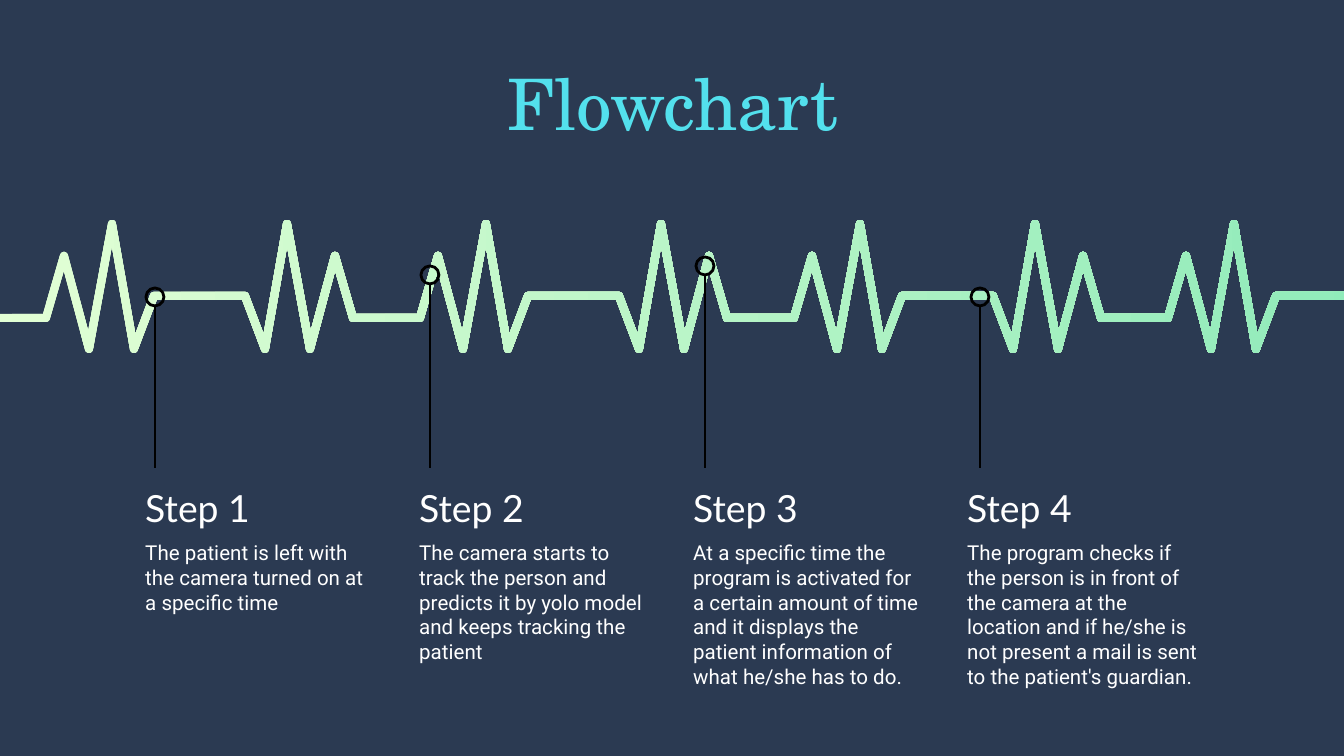
from math import atan2, ceil, cos, pi, sin

from lxml.etree import SubElement
from pptx import Presentation
from pptx.dml.color import RGBColor
from pptx.enum.shapes import MSO_CONNECTOR, MSO_SHAPE
from pptx.enum.text import MSO_ANCHOR, PP_ALIGN
from pptx.oxml.ns import qn
from pptx.util import Inches, Pt

PX = Inches(10) / 1344
NAVY = RGBColor(0x2B, 0x3A, 0x52)
CYAN = RGBColor(0x53, 0xE0, 0xED)
WHITE = RGBColor(0xFF, 0xFF, 0xFF)
BLACK = RGBColor(0x00, 0x00, 0x00)
PALE_GREEN = RGBColor(0xE3, 0xFF, 0xD5)
MINT = RGBColor(0x90, 0xEB, 0xBA)

STEPS = [
    ("Step 1", "The patient is left with the camera turned on at a specific time", 288),
    ("Step 2", "The camera starts to track the person and predicts it by yolo model "
               "and keeps tracking the patient", 266),
    ("Step 3", "At a specific time the program is activated for a certain amount of time "
               "and it displays the patient information of what he/she has to do.", 257),
    ("Step 4", "The program checks if the person is in front of the camera at the location "
               "and if he/she is not present a mail is sent to the patient's guardian.", 288),
]


def px(*lengths):
    return [round(length * PX) for length in lengths]


def write(shape, text, size, font_name, color, anchor, alignment):
    frame = shape.text_frame
    frame.word_wrap = True
    frame.vertical_anchor = anchor
    frame.margin_left = frame.margin_right = Inches(0.1)
    frame.margin_top = frame.margin_bottom = Inches(0.1)
    paragraph = frame.paragraphs[0]
    paragraph.text = text
    paragraph.alignment = alignment
    paragraph.font.size = Pt(size)
    paragraph.font.name = font_name
    paragraph.font.color.rgb = color


presentation = Presentation()
presentation.slide_width, presentation.slide_height = px(1344, 756)
slide = presentation.slides.add_slide(presentation.slide_layouts[5])
slide.background.fill.solid()
slide.background.fill.fore_color.rgb = NAVY
shapes = slide.shapes

title = shapes.title
title.left, title.top, title.width, title.height = px(106, 79, 1133, 47)
write(title, "Flowchart", 38, "TeX Gyre Schola", CYAN, MSO_ANCHOR.MIDDLE, PP_ALIGN.CENTER)

for index, (heading, description, marker_top) in enumerate(STEPS):
    left = 132 + 274 * index
    heading_box = shapes.add_textbox(*px(left, 492, 259, 31))
    write(heading_box, heading, 20, "Lato", WHITE, MSO_ANCHOR.MIDDLE, PP_ALIGN.LEFT)
    description_box = shapes.add_textbox(*px(left, 527, 259, 149))
    write(description_box, description, 11, "Roboto", WHITE, MSO_ANCHOR.TOP, PP_ALIGN.LEFT)

rise = [(46, 318), (64, 256), (89, 349), (112, 224), (134, 349), (154, 296)]
beat = rise + [(399 - x, y) for x, y in reversed(rise)]
pulse = [(-18, 318)]
for number in range(4):
    pulse += [(x + 374 * number, y) for x, y in (beat if number < 3 else rise)]
pulse.append((1364, 296))

half_width = 4
loop = pulse + pulse[-2:0:-1]
outline = []
for index, (x, y) in enumerate(loop):
    before_x, before_y = loop[index - 1]
    after_x, after_y = loop[(index + 1) % len(loop)]
    heading_in = atan2(y - before_y, x - before_x)
    turn = (atan2(after_y - y, after_x - x) - heading_in) % (2 * pi)
    normal = heading_in - pi / 2
    if turn < pi + 0.01:
        count = ceil(turn / 0.4)
        corner = [(normal + turn * step / count, half_width) for step in range(count + 1)]
    else:
        half_turn = turn / 2 - pi
        corner = [(normal + half_turn, half_width / cos(half_turn))]
    outline += [px(x + reach * cos(angle), y + reach * sin(angle)) for angle, reach in corner]

builder = shapes.build_freeform(*outline[0])
builder.add_line_segments(outline[1:], close=True)
heartbeat = builder.convert_to_shape()
heartbeat.shadow.inherit = False
heartbeat.line.fill.background()
heartbeat.fill.gradient()
heartbeat.fill.gradient_angle = 0
for stop, color in zip(heartbeat.fill.gradient_stops, (PALE_GREEN, MINT)):
    stop.color.rgb = color

for index, (heading, description, marker_top) in enumerate(STEPS):
    center = 155 + 275 * index
    stem = shapes.add_connector(
        MSO_CONNECTOR.STRAIGHT, *px(center, marker_top + 18, center, 468))
    SubElement(stem.element.spPr, qn("a:effectLst"))
    marker = shapes.add_shape(MSO_SHAPE.OVAL, *px(center - 9, marker_top, 18, 18))
    marker.shadow.inherit = False
    marker.fill.background()
    for shape in (stem, marker):
        shape.line.color.rgb = BLACK
        shape.line.width = Pt(1.5)

presentation.save("out.pptx")
